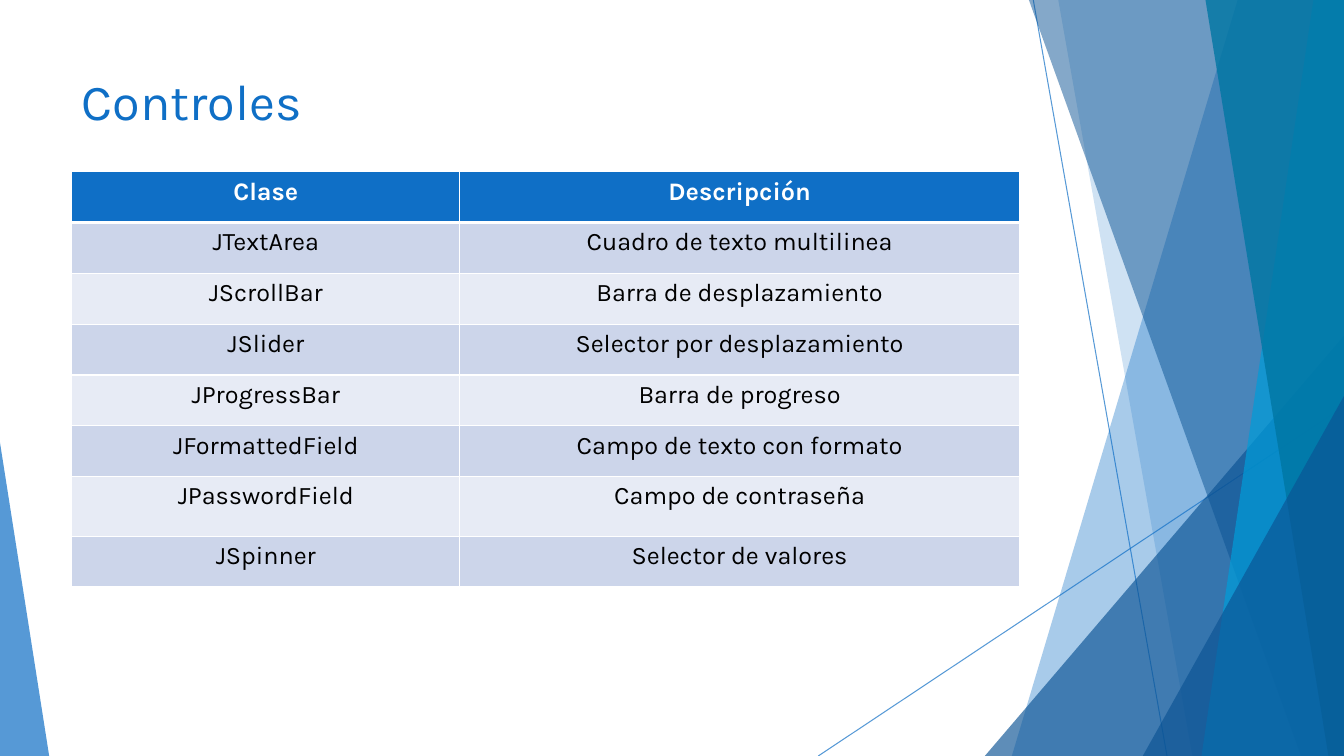
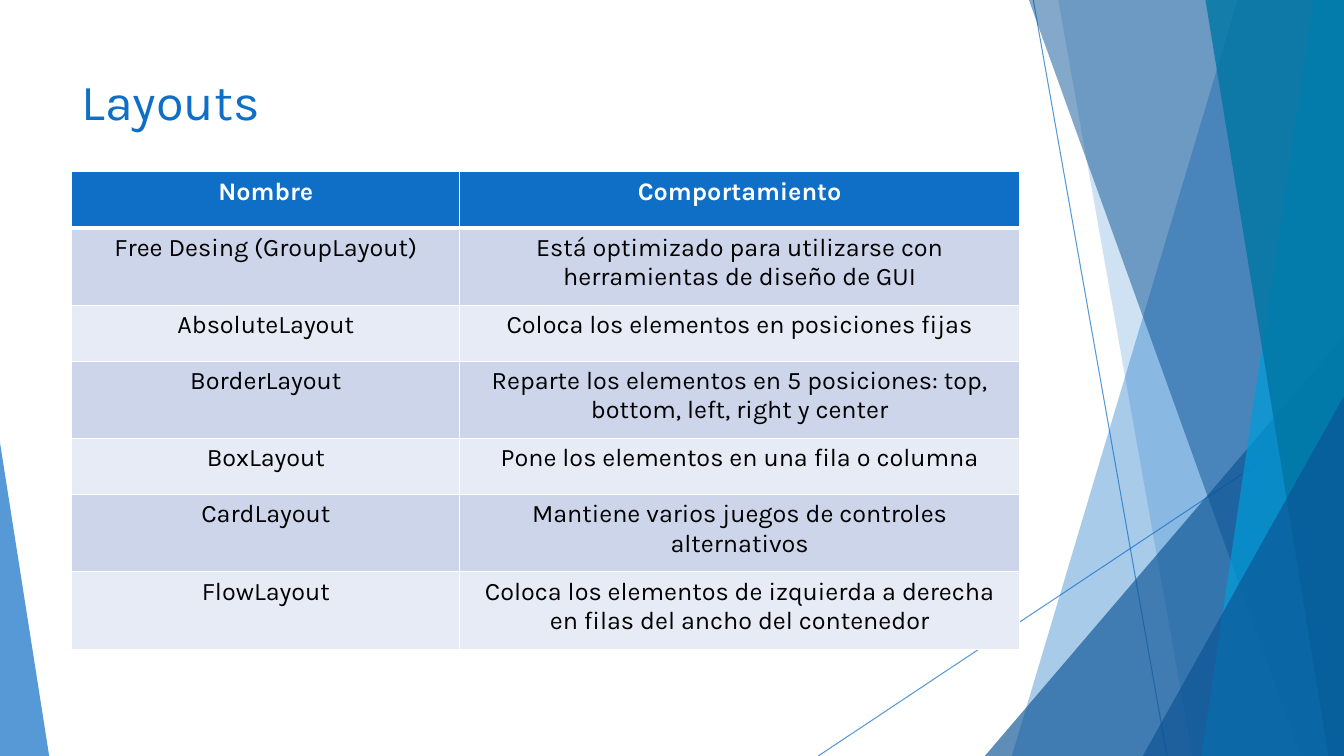
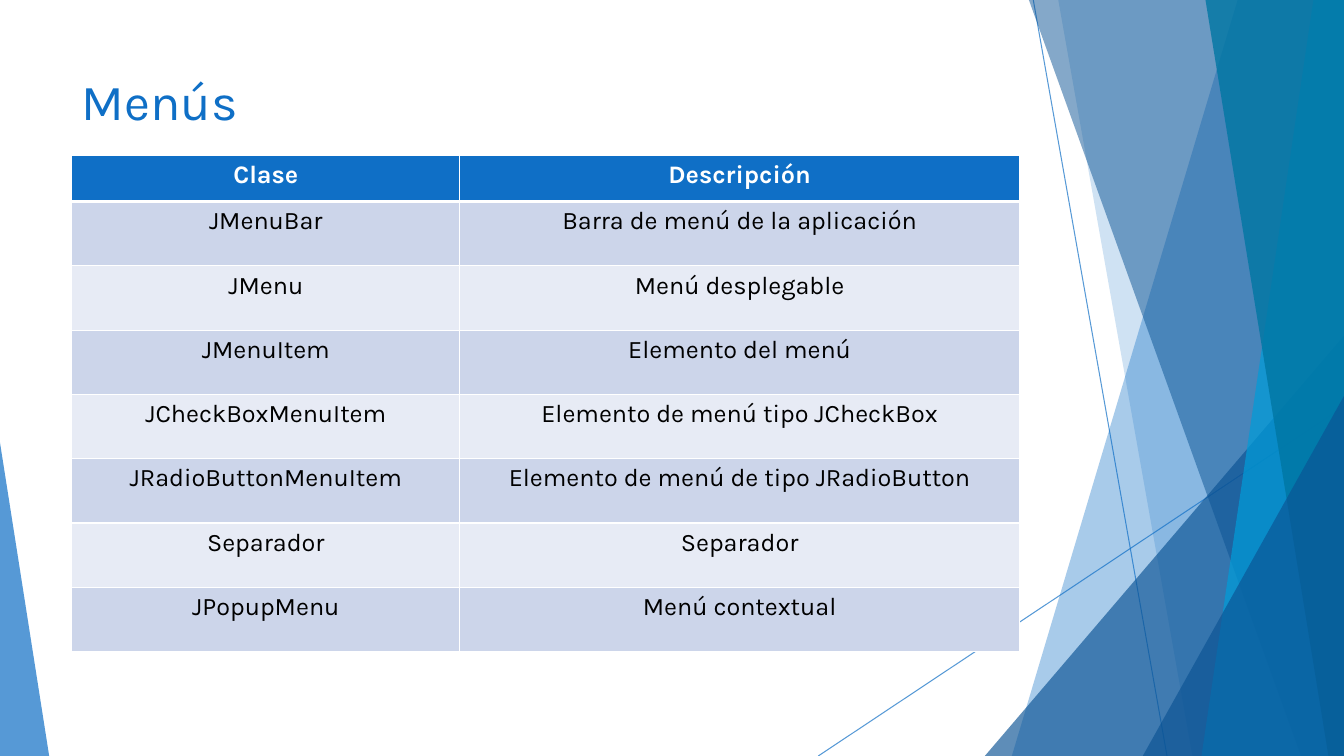
from lxml import etree
from pptx import Presentation
from pptx import util as u
from pptx.dml.color import RGBColor
from pptx.enum import shapes, text
from pptx.oxml.ns import qn

WIDTH, HEIGHT = 33.87, 19.05
LEFT, COLUMNS = 1.81, (9.78, 14.1)
FONT = "Karla"
BLUE, NAVY, SKY, TEAL = "0F6FC6", "0B5394", "009DD9", "0076A3"
WHITE, BLACK = "FFFFFF", "000000"
STRIPES = ("CCD5EA", "E7EBF5")


def color(value):
    return RGBColor.from_string(value)


class Deck:
    """Holds the shared style and the slide being built."""

    def __init__(self):
        self.deck = Presentation()
        self.deck.slide_width, self.deck.slide_height = u.Cm(WIDTH), u.Cm(HEIGHT)
        self.page = None

    def add_page(self, title):
        self.page = self.deck.slides.add_slide(self.deck.slide_layouts[6])
        self.backdrop()
        self.title(title)

    def backdrop(self):
        self.line(26.04, 0, 29.41, HEIGHT)
        self.line(WIDTH, 10.24, 20.62, HEIGHT)
        self.band(31.19, 25.5, BLUE, 36)
        self.band(26.67, 30.05, BLUE, 20)
        self.triangle(24.82, 8.46, 9.05, 1, NAVY, 66)
        self.band(25.93, 32.79, NAVY, 50)
        self.band(33.1, 30.28, SKY, 70)
        self.band(30.38, 33.48, TEAL, 80)
        self.triangle(28.8, 9.98, 5.07, 1, NAVY, 66)
        self.triangle(0, 11.15, 1.24, 0, BLUE, 70)

    def set_opacity(self, shape, percent):
        for tint in shape.element.spPr.xpath(".//a:srgbClr"):
            etree.SubElement(tint, qn("a:alpha"), val=str(percent * 1000))

    def paint(self, shape, fill, opacity):
        shape.shadow.inherit = False
        shape.fill.solid()
        shape.fill.fore_color.rgb = color(fill)
        shape.line.fill.background()
        self.set_opacity(shape, opacity)

    def line(self, *ends):
        line = self.page.shapes.add_connector(
            shapes.MSO_CONNECTOR.STRAIGHT, *(u.Cm(end) for end in ends))
        line.line.color.rgb = color(BLUE)
        line.line.width = u.Pt(0.75)
        self.set_opacity(line, 70)
        etree.SubElement(line.element.spPr, qn("a:effectLst"))

    def band(self, top_x, bottom_x, fill, opacity):
        outline = self.page.shapes.build_freeform(u.Cm(top_x), 0)
        corners = ((WIDTH, 0), (WIDTH, HEIGHT), (bottom_x, HEIGHT))
        outline.add_line_segments([(u.Cm(x), u.Cm(y)) for x, y in corners])
        self.paint(outline.convert_to_shape(), fill, opacity)

    def triangle(self, left, top, width, apex, fill, opacity):
        shape = self.page.shapes.add_shape(
            shapes.MSO_SHAPE.ISOSCELES_TRIANGLE,
            u.Cm(left), u.Cm(top), u.Cm(width), u.Cm(HEIGHT - top))
        shape.adjustments[0] = apex
        self.paint(shape, fill, opacity)

    def set_text(self, frame, words, size, ink, bold=False, align=text.PP_ALIGN.LEFT):
        frame.text = words
        para = frame.paragraphs[0]
        para.alignment = align
        font = para.runs[0].font
        font.name, font.size, font.bold = FONT, u.Pt(size), bold
        font.color.rgb = color(ink)

    def title(self, words):
        box = self.page.shapes.add_textbox(
            u.Cm(LEFT), u.Cm(1.57), u.Cm(sum(COLUMNS)), u.Cm(1.9))
        box.text_frame.word_wrap = True
        box.text_frame.vertical_anchor = text.MSO_ANCHOR.MIDDLE
        self.set_text(box.text_frame, words, 36, BLUE)

    def borders(self, cell, top, bottom):
        properties = cell._tc.get_or_add_tcPr()
        for side, points in (("L", 1), ("R", 1), ("T", top), ("B", bottom)):
            edge = etree.SubElement(properties, qn(f"a:ln{side}"), w=str(u.Pt(points)))
            fill = etree.SubElement(edge, qn("a:solidFill"))
            etree.SubElement(fill, qn("a:srgbClr"), val=WHITE)

    def table(self, top, heights, rows):
        table = self.page.shapes.add_table(
            len(rows), len(COLUMNS), u.Cm(LEFT), u.Cm(top),
            u.Cm(sum(COLUMNS)), u.Cm(sum(heights))).table
        for column, width in zip(table.columns, COLUMNS):
            column.width = u.Cm(width)
        for index, (height, row) in enumerate(zip(heights, rows)):
            table.rows[index].height = u.Cm(height)
            header = index == 0
            for position, words in enumerate(row):
                cell = table.cell(index, position)
                self.borders(cell, 3 if index == 1 else 1, 3 if header else 1)
                cell.fill.solid()
                cell.fill.fore_color.rgb = color(BLUE if header else STRIPES[(index - 1) % 2])
                self.set_text(cell.text_frame, words, 18, WHITE if header else BLACK,
                              header, text.PP_ALIGN.CENTER)

    def save(self):
        self.deck.save("out.pptx")


def main():
    deck = Deck()
    deck.add_page("Controles")
    deck.table(4.33, [1.28] * 6 + [1.5, 1.28], [
        ("Clase", "Descripción"),
        ("JTextArea", "Cuadro de texto multilinea"),
        ("JScrollBar", "Barra de desplazamiento"),
        ("JSlider", "Selector por desplazamiento"),
        ("JProgressBar", "Barra de progreso"),
        ("JFormattedField", "Campo de texto con formato"),
        ("JPasswordField", "Campo de contraseña"),
        ("JSpinner", "Selector de valores"),
    ])
    deck.add_page("Layouts")
    deck.table(4.33, [1.41, 1.95] * 3 + [1.95], [
        ("Nombre", "Comportamiento"),
        ("Free Desing (GroupLayout)",
         "Está optimizado para utilizarse con herramientas de diseño de GUI"),
        ("AbsoluteLayout", "Coloca los elementos en posiciones fijas"),
        ("BorderLayout",
         "Reparte los elementos en 5 posiciones: top, bottom, left, right y center"),
        ("BoxLayout", "Pone los elementos en una fila o columna"),
        ("CardLayout", "Mantiene varios juegos de controles alternativos"),
        ("FlowLayout",
         "Coloca los elementos de izquierda a derecha en filas del ancho del contenedor"),
    ])
    deck.add_page("Menús")
    deck.table(3.92, [1.16] + [1.62] * 7, [
        ("Clase", "Descripción"),
        ("JMenuBar", "Barra de menú de la aplicación"),
        ("JMenu", "Menú desplegable"),
        ("JMenuItem", "Elemento del menú"),
        ("JCheckBoxMenuItem", "Elemento de menú tipo JCheckBox"),
        ("JRadioButtonMenuItem", "Elemento de menú de tipo JRadioButton"),
        ("Separador", "Separador"),
        ("JPopupMenu", "Menú contextual"),
    ])
    deck.save()


if __name__ == "__main__":
    main()
